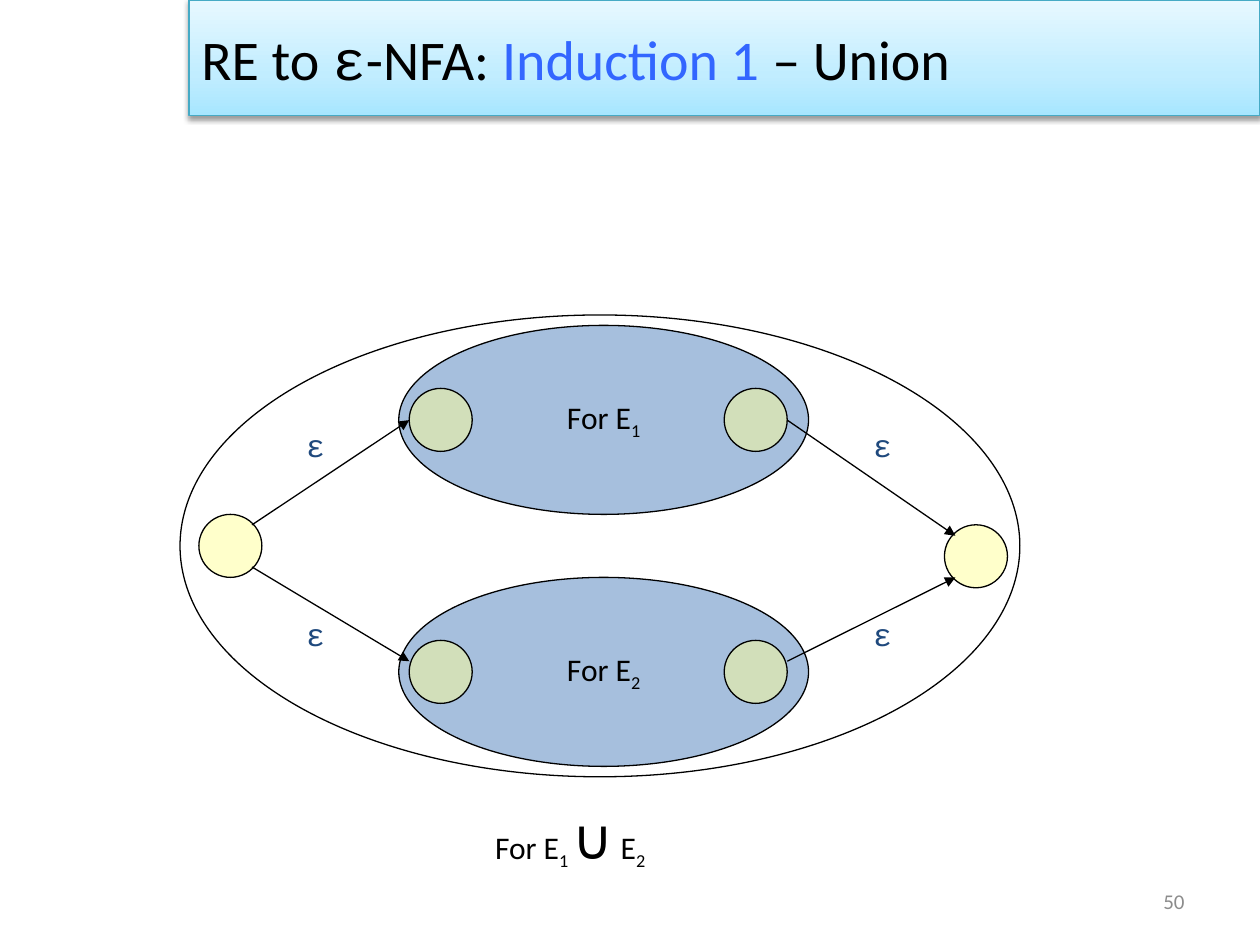
import pptx
import pptx.dml.color
import pptx.enum.shapes
import pptx.enum.text
import pptx.oxml.ns
import pptx.util
from lxml import etree

Cm = pptx.util.Cm
Pt = pptx.util.Pt
qn = pptx.oxml.ns.qn
Shape = pptx.enum.shapes.MSO_SHAPE
Anchor = pptx.enum.text.MSO_ANCHOR
Align = pptx.enum.text.PP_ALIGN

BLACK, NAVY, YELLOW, BLUE = "000000", "1F497D", "FFFF99", "4F81BD"
BODY_FONT, EPSILON_FONT = "Calibri", "Courier New"
STATE_SIZE = 1.27


def color(text):
    return pptx.dml.color.RGBColor.from_string(text)


def add_element(parent, tag, **attributes):
    return etree.SubElement(parent, qn(tag), attributes)


def write(shape, runs, anchor=Anchor.TOP, align=Align.LEFT, wrap=False):
    """Each run is (text, size, colour, font, baseline)."""
    frame = shape.text_frame
    frame.word_wrap = wrap
    frame.vertical_anchor = anchor
    para = frame.paragraphs[0]
    para.alignment = align
    for text, size, ink, font, baseline in runs:
        span = para.add_run()
        span.text = text
        span.font.size = Pt(size)
        span.font.name = font
        span.font.color.rgb = color(ink)
        if baseline:
            span.font._element.set("baseline", str(baseline * 1000))


def body(text, size=18, baseline=0, ink=BLACK):
    return text, size, ink, BODY_FONT, baseline


def add_text(page, left, top, width, height, runs, **layout):
    box = page.shapes.add_textbox(Cm(left), Cm(top), Cm(width), Cm(height))
    write(box, runs, **layout)


def add_outlined(page, preset, left, top, width, height, line=BLACK):
    shape = page.shapes.add_shape(preset, Cm(left), Cm(top), Cm(width), Cm(height))
    shape.shadow.inherit = False
    shape.line.color.rgb = color(line)
    shape.line.width = Pt(0.75)
    return shape


def add_ellipse(page, left, top, width, height, fill=None):
    """An ellipse, either hollow or filled half transparent."""
    shape = add_outlined(page, Shape.OVAL, left, top, width, height)
    if fill:
        shape.fill.solid()
        shape.fill.fore_color.rgb = color(fill)
        tint = shape._element.spPr.find(qn("a:solidFill"))[0]
        add_element(tint, "a:alpha", val="50000")
    else:
        shape.fill.background()
    return shape


def add_state(page, left, top):
    add_ellipse(page, left, top, STATE_SIZE, STATE_SIZE, YELLOW)


def add_arrow(page, x1, y1, x2, y2):
    arrow = page.shapes.add_connector(
        pptx.enum.shapes.MSO_CONNECTOR.STRAIGHT, Cm(x1), Cm(y1), Cm(x2), Cm(y2))
    arrow.line.color.rgb = color(BLACK)
    arrow.line.width = Pt(0.75)
    add_element(arrow.line._get_or_add_ln(), "a:tailEnd", type="triangle")
    add_element(arrow._element.spPr, "a:effectLst")


def add_title(page, left, top, width, height):
    bar = add_outlined(page, Shape.RECTANGLE, left, top, width, height, "46AAC5")
    # Three-stop gradient, darkest at the bottom
    bar.fill.gradient()
    bar.fill.gradient_angle = 90
    properties = bar._element.spPr
    stops = properties.find(qn("a:gradFill")).find(qn("a:gsLst"))
    for stop in list(stops):
        stops.remove(stop)
    for percent, shade in ((0, "A7E6FF"), (35, "C1EDFF"), (100, "E7F8FF")):
        stop = add_element(stops, "a:gs", pos=str(percent * 1000))
        add_element(stop, "a:srgbClr", val=shade)
    # Soft shadow below the bar
    shadow = add_element(properties.find(qn("a:effectLst")), "a:outerShdw",
                         blurRad=str(Pt(3.1)), dist=str(Pt(1.6)),
                         dir="5400000", rotWithShape="0")
    shade = add_element(shadow, "a:srgbClr", val=BLACK)
    add_element(shade, "a:alpha", val="38000")
    write(bar, [body("RE to ", 32), ("ε", 32, BLACK, EPSILON_FONT, 0),
                body("-NFA: ", 32), body("Induction 1", 32, ink="3366FF"),
                body(" – Union", 32)], anchor=Anchor.MIDDLE, wrap=True)


def add_automaton(page, left, top, number):
    """The automaton for one expression, with its start and final states."""
    oval = add_ellipse(page, left, top, 8.26, 3.81, BLUE)
    write(oval, [body("For E"), body(number, baseline=-25)],
          anchor=Anchor.MIDDLE, align=Align.CENTER)
    for offset in (6.56, 0.21):
        add_state(page, left + offset, top + STATE_SIZE)


def add_union(page, left, top, width, height):
    # The two automata inside the combined one
    for number, offset in (("1", 0.21), ("2", 5.29)):
        add_automaton(page, left + 4.41, top + offset, number)
    add_ellipse(page, left, top, width, height)
    add_text(page, left + 6.1, top + 9.73, 4.95, 1.6,
             [body("For E"), body("1 ", baseline=-25), body("∪", 32),
              body(" E"), body("2", baseline=-25)])

    # New start and final states
    add_state(page, left + 0.38, top + 4.02)
    add_state(page, left + 15.41, top + 4.23)

    # Epsilon moves
    for x1, y1, x2, y2 in ((1.45, 4.23, 4.62, 2.12), (1.45, 5.08, 4.62, 6.98),
                           (12.24, 2.12, 15.63, 4.45), (12.24, 6.98, 15.63, 5.29)):
        add_arrow(page, left + x1, top + y1, left + x2, top + y2)
    for x in (2.29, 13.72):
        for y in (2.12, 5.93):
            add_text(page, left + x, top + y, 0.97, 1.27,
                     [("ε", 18, NAVY, EPSILON_FONT, 0)])


def add_page_number(page, left, top, width, height):
    add_text(page, left, top, width, height, [body("50", 12, ink="8C8C8C")],
             anchor=Anchor.MIDDLE, align=Align.RIGHT, wrap=True)


def main():
    deck = pptx.Presentation()
    deck.slide_width, deck.slide_height = Cm(25.4), Cm(19.05)
    page = deck.slides.add_slide(deck.slide_layouts[6])
    add_page_number(page, 18.2, 17.66, 5.93, 1.01)
    add_union(page, 3.63, 6.35, 16.93, 9.31)
    add_title(page, 3.81, 0, 21.59, 2.33)
    deck.save("out.pptx")


if __name__ == "__main__":
    main()
